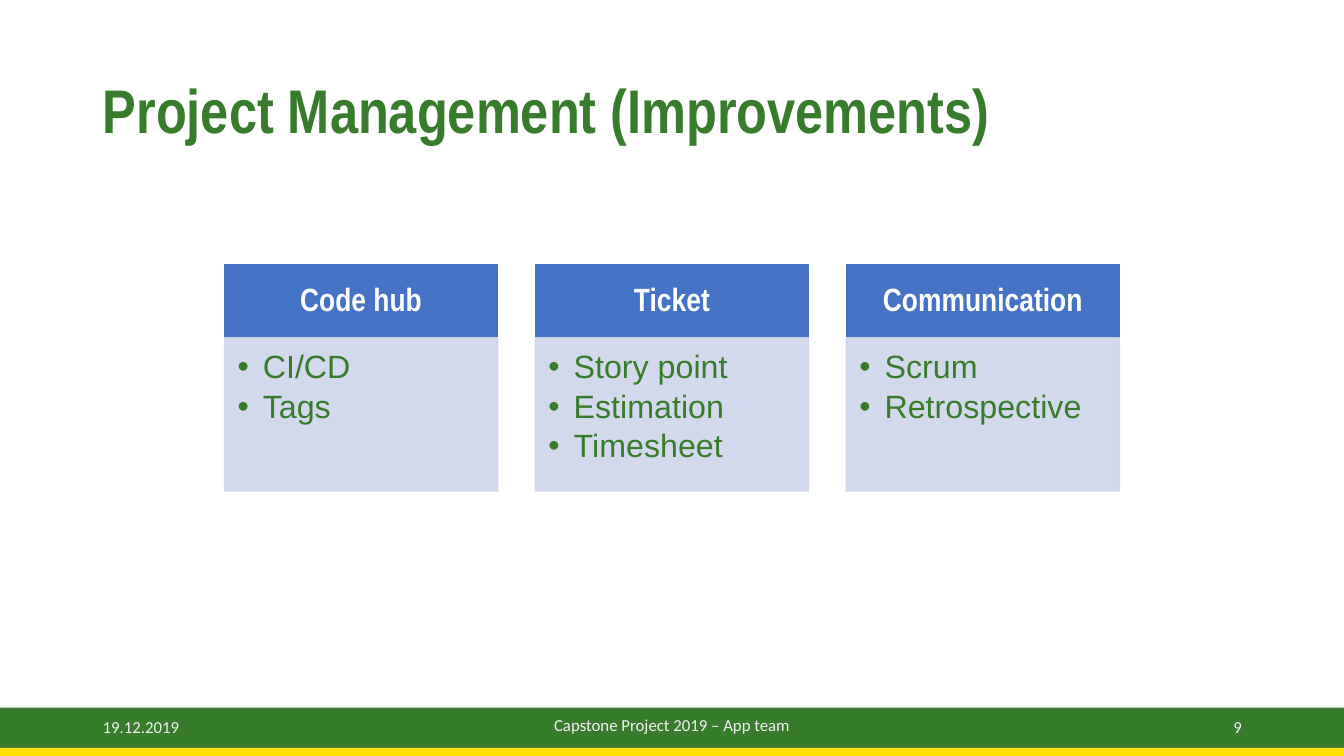
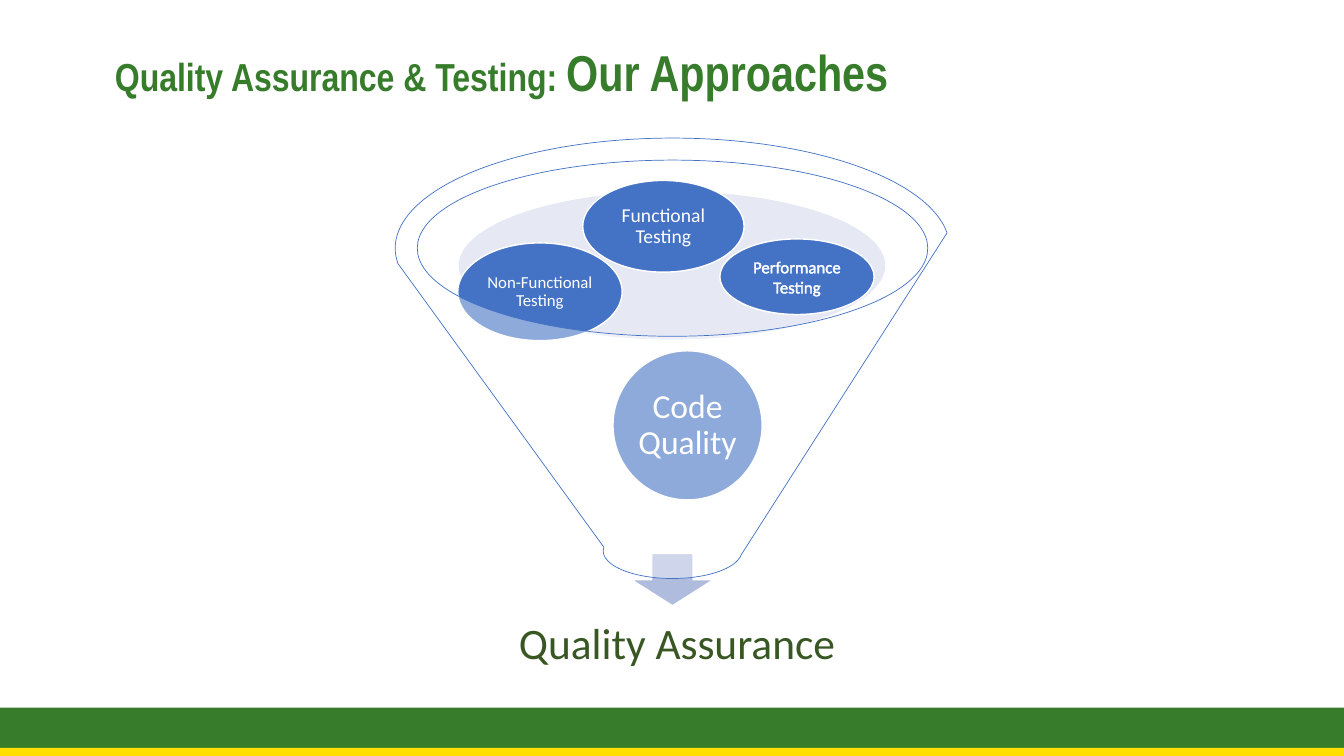
from dataclasses import dataclass
from typing import Optional

from lxml.etree import SubElement
from pptx import Presentation
from pptx.dml.color import RGBColor
from pptx.enum.shapes import MSO_SHAPE
from pptx.enum.text import MSO_ANCHOR, MSO_AUTO_SIZE, PP_ALIGN
from pptx.oxml import parse_xml
from pptx.oxml.ns import nsdecls, qn
from pptx.util import Inches, Pt

WIDE, HIGH = Inches(13.33), Inches(7.5)

GREEN = RGBColor(0x36, 0x7C, 0x2B)
YELLOW = RGBColor(0xFF, 0xDE, 0x00)
BLUE = RGBColor(0x44, 0x72, 0xC4)
PALE = RGBColor(0xCF, 0xD5, 0xEA)
HAZE = RGBColor(0xC1, 0xC9, 0xE4)
ARROW = RGBColor(0xB0, 0xBC, 0xDE)
OLIVE = RGBColor(0x38, 0x57, 0x23)
LIGHT = RGBColor(0xF2, 0xF2, 0xF2)
WHITE = RGBColor(0xFF, 0xFF, 0xFF)

HEAD, BODY, NOTE = "Arial Narrow", "Arial", "Calibri"
PLAIN = (0.1, 0.05, 0.1, 0.05)


@dataclass(frozen=True)
class Box:
    """A place on the slide, in percent of its width and height."""
    left: float
    top: float
    width: float
    height: float

    def place(self) -> tuple:
        return (round(WIDE * self.left / 100), round(HIGH * self.top / 100),
                round(WIDE * self.width / 100), round(HIGH * self.height / 100))


@dataclass(frozen=True)
class Card:
    head: str
    items: tuple


@dataclass(frozen=True)
class Ball:
    text: str
    box: Box
    size: float
    inset: tuple = (0.02,) * 4
    space: float = 0.9
    edged: bool = False


CARDS = (
    Card("Code hub", ("CI/CD", "Tags")),
    Card("Ticket", ("Story point", "Estimation", "Timesheet")),
    Card("Communication", ("Scrum", "Retrospective")),
)
CARD_W, CARD_GAP, CARD_TOP = 20.33, 2.8, 35.07
HEAD_H, LIST_H = 9.6, 20.27

INSIDE = (
    Ball("Code Quality", Box(45.61, 46.4, 11.1, 19.73), 24, (0.03,) * 4),
    Ball("Non-Functional Testing", Box(34.06, 32.13, 12.23, 12.93), 12),
    Ball("Functional Testing", Box(43.36, 23.87, 12, 12.13), 14),
)
FRONT = Ball("Performance Testing", Box(53.56, 31.6, 11.48, 10), 12,
             PLAIN, 1.0, True)


def write(shape, *lines, font: str = NOTE, size: float = 12,
          color: RGBColor = WHITE, bold: bool = False,
          align=PP_ALIGN.CENTER, anchor=MSO_ANCHOR.MIDDLE,
          inset: tuple = PLAIN, space: float = 1.0, after: float = 0,
          bullet: bool = False, edged: bool = False) -> None:
    """Fill a shape; a line is a string or a list of (text, size) runs."""
    frame = shape.text_frame
    frame.word_wrap = True
    frame.auto_size = MSO_AUTO_SIZE.NONE
    frame.vertical_anchor = anchor
    (frame.margin_left, frame.margin_top,
     frame.margin_right, frame.margin_bottom) = map(Inches, inset)
    for i, line in enumerate(lines):
        para = frame.add_paragraph() if i else frame.paragraphs[0]
        para.alignment, para.line_spacing = align, space
        para.space_before, para.space_after = Pt(0), Pt(after)
        if bullet:
            props = para._p.get_or_add_pPr()
            props.set("marL", str(Inches(0.25)))
            props.set("indent", str(-Inches(0.25)))
            SubElement(props, qn("a:buFont")).set("typeface", BODY)
            SubElement(props, qn("a:buChar")).set("char", "•")
        for text, points in [(line, size)] if isinstance(line, str) else line:
            run = para.add_run()
            run.text = text
            run.font.name, run.font.size = font, Pt(points)
            run.font.bold, run.font.color.rgb = bold, color
            if edged:
                run._r.get_or_add_rPr().insert(0, parse_xml(
                    f'<a:ln {nsdecls("a")} w="9525"><a:solidFill>'
                    f'<a:srgbClr val="{color}"/></a:solidFill></a:ln>'))


def fade(fill, share: int) -> None:
    """Make a solid fill only so many percent opaque."""
    tone = fill._xPr.find(qn("a:solidFill"))[0]
    SubElement(tone, qn("a:alpha")).set("val", str(share * 1000))


def draw(slide, kind, box: Box, fill: RGBColor,
         line: Optional[RGBColor] = None, weight: float = 1,
         alpha: int = 100, line_alpha: int = 100):
    shape = slide.shapes.add_shape(kind, *box.place())
    shape.shadow.inherit = False
    shape.fill.solid()
    shape.fill.fore_color.rgb = fill
    if alpha < 100:
        fade(shape.fill, alpha)
    if line is None:
        shape.line.fill.background()
    else:
        shape.line.color.rgb = line
        shape.line.width = Pt(weight)
        if line_alpha < 100:
            fade(shape.line.fill, line_alpha)
    return shape


def label(slide, box: Box, text: str, **style) -> None:
    write(slide.shapes.add_textbox(*box.place()), text, **style)


def start(deck, box: Box, title, inset: tuple = PLAIN):
    """Add a slide with its title and the two bands at the foot."""
    slide = deck.slides.add_slide(deck.slide_layouts[5])
    head = slide.shapes.title
    head.left, head.top, head.width, head.height = box.place()
    write(head, title, font=HEAD, size=44, color=GREEN, bold=True,
          align=PP_ALIGN.LEFT, inset=inset, space=0.9)
    draw(slide, MSO_SHAPE.RECTANGLE, Box(0, 93.6, 100, 5.33), GREEN)
    draw(slide, MSO_SHAPE.RECTANGLE, Box(0, 98.93, 100, 1.07), YELLOW)
    return slide


def add_card(slide, card: Card, col: int) -> None:
    total = len(CARDS) * (CARD_W + CARD_GAP) - CARD_GAP
    left = (100 - total) / 2 + col * (CARD_W + CARD_GAP)
    head = draw(slide, MSO_SHAPE.RECTANGLE,
                Box(left, CARD_TOP, CARD_W, HEAD_H), BLUE, BLUE)
    write(head, card.head, font=HEAD, size=23, bold=True, space=0.9,
          inset=(0.18, 0.1, 0.18, 0.1))
    body = draw(slide, MSO_SHAPE.RECTANGLE,
                Box(left, CARD_TOP + HEAD_H, CARD_W, LIST_H), PALE, PALE,
                alpha=90, line_alpha=90)
    write(body, *card.items, font=BODY, size=23, color=GREEN, space=0.9,
          align=PP_ALIGN.LEFT, anchor=MSO_ANCHOR.TOP, after=3.5, bullet=True,
          inset=(0.13, 0.13, 0.18, 0.2))


def add_ball(slide, ball: Ball) -> None:
    shape = draw(slide, MSO_SHAPE.OVAL, ball.box, BLUE, WHITE)
    write(shape, ball.text, size=ball.size, inset=ball.inset,
          space=ball.space, edged=ball.edged)


def add_plan(deck) -> None:
    slide = start(deck, Box(6.9, 5.33, 86.25, 19.33),
                  "Project Management (Improvements)")
    label(slide, Box(33.13, 93.2, 33.75, 5.33),
          "Capstone Project 2019 – App team", color=LIGHT)
    label(slide, Box(6.9, 93.47, 22.5, 5.33), "19.12.2019",
          color=LIGHT, align=PP_ALIGN.LEFT)
    label(slide, Box(70.65, 93.47, 22.5, 5.33), "9",
          color=LIGHT, align=PP_ALIGN.RIGHT)
    for col, card in enumerate(CARDS):
        add_card(slide, card, col)


def add_tests(deck) -> None:
    slide = start(deck, Box(6.9, 5.33, 79.3, 8.8),
                  [("Quality Assurance & Testing: ", 27.9),
                   ("Our Approaches", 36)], inset=(0.22, 0.09, 0.1, 0.05))
    draw(slide, MSO_SHAPE.OVAL, Box(34.13, 25.33, 31.73, 19.6), HAZE, alpha=40)
    draw(slide, MSO_SHAPE.DOWN_ARROW, Box(46.96, 73.2, 6.15, 6.93),
         ARROW, WHITE)
    label(slide, Box(35.63, 78.8, 29.48, 13.07), "Quality Assurance",
          size=31, color=OLIVE, space=0.9, inset=(0.24,) * 4)
    for ball in INSIDE:
        add_ball(slide, ball)
    draw(slide, MSO_SHAPE.FUNNEL, Box(29.41, 18.27, 41.26, 58.27),
         WHITE, BLUE, weight=0.5, alpha=40)
    add_ball(slide, FRONT)


def main() -> None:
    deck = Presentation()
    deck.slide_width, deck.slide_height = WIDE, HIGH
    add_plan(deck)
    add_tests(deck)
    deck.save("out.pptx")


if __name__ == "__main__":
    main()
